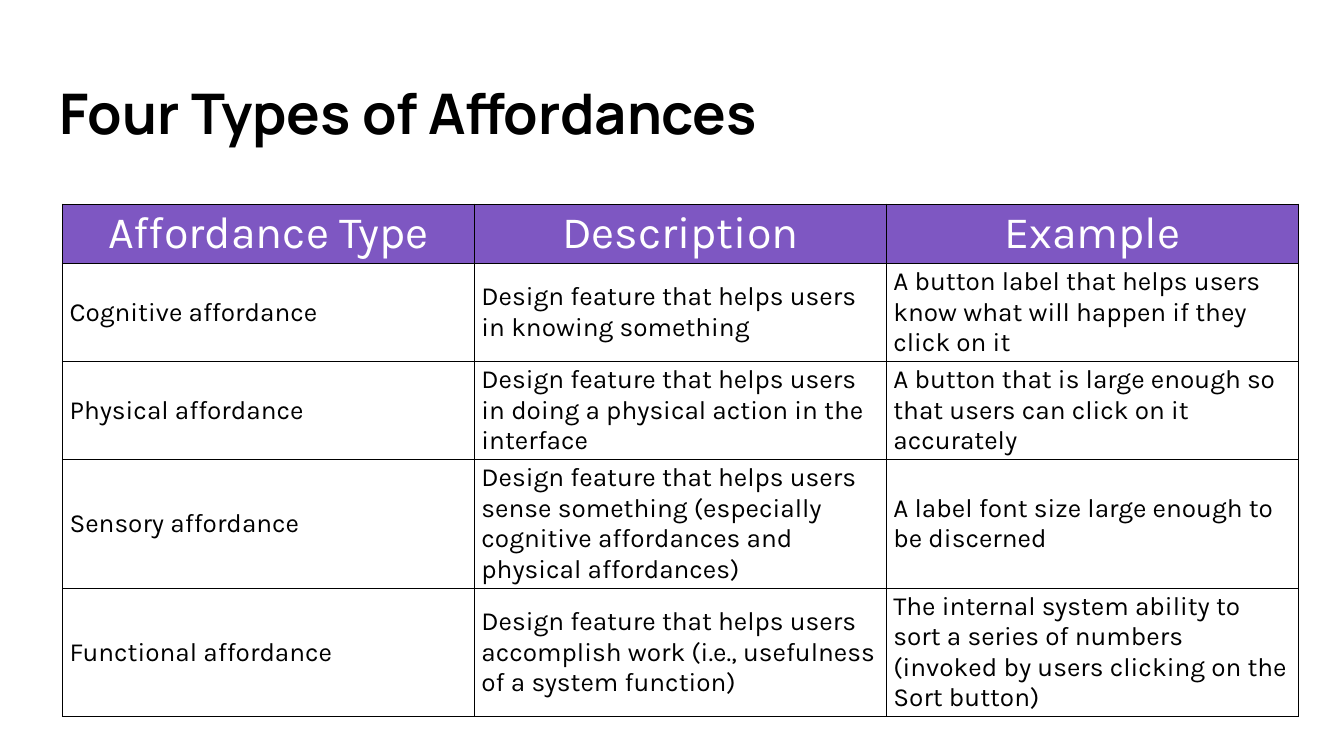
from dataclasses import dataclass

from lxml import etree
from pptx import Presentation
from pptx.dml.color import RGBColor
from pptx.enum.text import MSO_ANCHOR, PP_ALIGN
from pptx.oxml.ns import qn
from pptx.util import Inches, Pt

MIDDLE = MSO_ANCHOR.MIDDLE
TOP = MSO_ANCHOR.TOP
LEFT = PP_ALIGN.LEFT
CENTER = PP_ALIGN.CENTER

BLANK_LAYOUT = 6
SLIDE_WIDTH = Inches(10)
SLIDE_HEIGHT = SLIDE_WIDTH * 9 // 16
TABLE_LEFT, TABLE_TOP = Pt(33.5), Inches(1.52)
COLUMN_WIDTH = Pt(220.7)
HEADER_HEIGHT, BODY_HEIGHT = Inches(0.3), Inches(0.7)
CELL_MARGIN_X, CELL_MARGIN_Y = Pt(3.75), Pt(1.8)


@dataclass(frozen=True)
class Theme:
    ink: str = "000000"
    paper: str = "FFFFFF"
    accent: str = "7E57C2"
    title_font: str = "Manrope"
    table_font: str = "Karla"
    title_size: int = 30
    header_size: int = 24
    body_size: int = 14
    border_width: float = 0.75


THEME = Theme()

TITLE = "Four Types of Affordances"
HEADERS = ("Affordance Type", "Description", "Example")
AFFORDANCES = (
    (
        "Cognitive affordance",
        "Design feature that helps users in knowing something",
        "A button label that helps users know what will happen if they click on it",
    ),
    (
        "Physical affordance",
        "Design feature that helps users in doing a physical action in the interface",
        "A button that is large enough so that users can click on it accurately",
    ),
    (
        "Sensory affordance",
        "Design feature that helps users sense something "
        "(especially cognitive affordances and physical affordances)",
        "A label font size large enough to be discerned",
    ),
    (
        "Functional affordance",
        "Design feature that helps users accomplish work "
        "(i.e., usefulness of a system function)",
        "The internal system ability to sort a series of numbers "
        "(invoked by users clicking on the Sort button)",
    ),
)


def write_text(text_frame, text, font_name, size, color, bold=False, alignment=LEFT):
    paragraph = text_frame.paragraphs[0]
    paragraph.text = text
    paragraph.alignment = alignment
    font = paragraph.font
    font.name = font_name
    font.size = Pt(size)
    font.bold = bold
    font.color.rgb = RGBColor.from_string(color)


def add_title(slide):
    shape = slide.shapes.add_textbox(Pt(24.8), Pt(35.5), Inches(9.32), Inches(0.68))
    text_frame = shape.text_frame
    text_frame.word_wrap = True
    text_frame.vertical_anchor = MIDDLE
    text_frame.margin_left = text_frame.margin_right = Inches(0.1)
    text_frame.margin_top = text_frame.margin_bottom = Inches(0.1)
    write_text(
        text_frame, TITLE, THEME.title_font, THEME.title_size, THEME.ink, bold=True
    )


def add_borders(cell):
    properties = cell._tc.get_or_add_tcPr()
    for side in ("a:lnL", "a:lnR", "a:lnT", "a:lnB"):
        line = etree.SubElement(
            properties, qn(side), w=str(Pt(THEME.border_width))
        )
        fill = etree.SubElement(line, qn("a:solidFill"))
        etree.SubElement(fill, qn("a:srgbClr"), val=THEME.ink)


def fill_cell(cell, text, is_header):
    cell.margin_left = cell.margin_right = CELL_MARGIN_X
    cell.margin_top = cell.margin_bottom = CELL_MARGIN_Y
    add_borders(cell)
    if is_header:
        cell.vertical_anchor = TOP
        cell.fill.solid()
        cell.fill.fore_color.rgb = RGBColor.from_string(THEME.accent)
        size, color, alignment = THEME.header_size, THEME.paper, CENTER
    else:
        cell.vertical_anchor = MIDDLE
        cell.fill.background()
        size, color, alignment = THEME.body_size, THEME.ink, LEFT
    write_text(
        cell.text_frame, text, THEME.table_font, size, color, alignment=alignment
    )


def add_affordance_table(slide):
    rows = (HEADERS, *AFFORDANCES)
    heights = [HEADER_HEIGHT] + [BODY_HEIGHT] * len(AFFORDANCES)
    table = slide.shapes.add_table(
        len(rows),
        len(HEADERS),
        TABLE_LEFT,
        TABLE_TOP,
        COLUMN_WIDTH * len(HEADERS),
        sum(heights),
    ).table
    table.first_row = False
    table.horz_banding = False
    for column in table.columns:
        column.width = COLUMN_WIDTH
    for row_index, (texts, height) in enumerate(zip(rows, heights)):
        table.rows[row_index].height = height
        for column_index, text in enumerate(texts):
            fill_cell(table.cell(row_index, column_index), text, row_index == 0)


def main():
    presentation = Presentation()
    presentation.slide_width = SLIDE_WIDTH
    presentation.slide_height = SLIDE_HEIGHT
    slide = presentation.slides.add_slide(presentation.slide_layouts[BLANK_LAYOUT])
    add_affordance_table(slide)
    add_title(slide)
    presentation.save("out.pptx")


if __name__ == "__main__":
    main()
